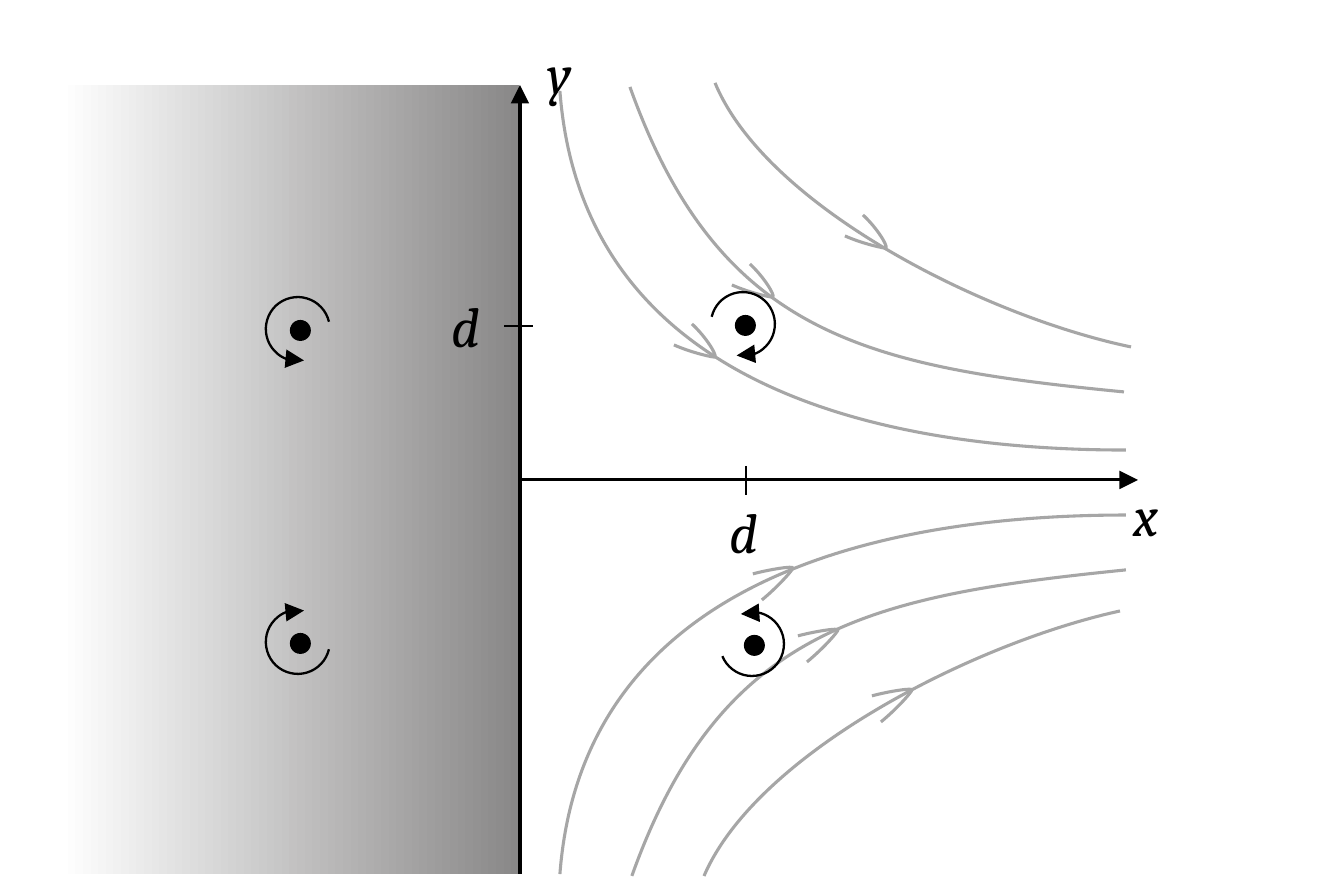
"""Build a slide of vortices near a wall, with axes and streamlines."""
from lxml import etree
from pptx import Presentation
from pptx import util as u
from pptx.dml import color
from pptx.enum import shapes, text
from pptx.oxml import ns

SLIDE = (1344, 896)
WALL = (60, 85, 459, 789)
AXES = [(520, 874, 520, 85), (520, 480, 1138, 480)]
TICKS = [(746, 466, 746, 495), (533, 326, 504, 326)]
LABELS = [("x", 1109, 470), ("d", 708, 486), ("y", 522, 27), ("d", 430, 280)]
LABEL_SIZE = (72, 90)
STREAMLINES = [
    [(1126, 450), (869, 450), (582, 381), (560, 91)],
    [(1124, 392), (867, 367), (719, 336), (630, 87)],
    [(1131, 347), (983, 316), (766, 206), (715, 83)],
    [(1126, 515), (869, 515), (582, 585), (560, 874)],
    [(1126, 570), (871, 596), (721, 627), (632, 876)],
    [(1120, 611), (974, 643), (757, 753), (704, 876)],
]
FLOW_HEADS = [
    ([(-23, -33), (-9, -20), (2, -2), (0, 0), (0, 1), (-23, -4), (-41, -12)],
     [(886, 248), (773, 297), (715, 357)]),
    ([(-40, 6), (-21, 1), (0, -2), (0, 0), (0, 2), (-15, 19), (-31, 32)],
     [(793, 568), (838, 630), (912, 690)]),
]
VORTICES = [
    (735, 315, 283.2, {}),
    (744, 635, 67.7, {"flipV": "1"}),
    (290, 320, 76.8, {"flipH": "1"}),
    (290, 633, 283.2, {"flipH": "1", "flipV": "1"}),
]
DOT, ARC, ARC_OFFSET = 21, 64, (24, 23)
ARC_ADJUSTMENTS = (162, 106.797)
THEME = {
    "ink": "000000", "flow": "A6A6A6", "wall": ("898888", "FFFFFF"),
    "font": {"name": "Cambria", "size": u.Pt(18), "italic": True},
    "axis": 1, "thin": 0.75,
}
SCALE = 914400 / 224


def emu(*lengths):
    return [u.Emu(round(n * SCALE)) for n in lengths]


def rgb(name):
    return color.RGBColor.from_string(name)


def set_line(sp, ink, width, arrow=False):
    sp.line.color.rgb = rgb(ink)
    sp.line.width = u.Pt(width)
    if arrow:
        ln = sp._element.xpath(".//a:ln")[0]
        etree.SubElement(ln, ns.qn("a:tailEnd"), type="triangle")


def add_preset(s, kind, box):
    sp = s.shapes.add_shape(kind, *emu(*box))
    sp.shadow.inherit = False
    return sp


def add_straight(s, ends, width, arrow=False):
    sp = s.shapes.add_connector(shapes.MSO_CONNECTOR.STRAIGHT, *emu(*ends))
    set_line(sp, THEME["ink"], width, arrow)
    etree.SubElement(sp._element.spPr, ns.qn("a:effectLst"))


def add_curve(s, points):
    """Draw cubic Bézier segments through a start and groups of three points."""
    builder = s.shapes.build_freeform(*points[0], scale=SCALE)
    builder.add_line_segments(points[1:], close=False)
    sp = builder.convert_to_shape()
    sp.shadow.inherit = False
    sp.fill.background()
    set_line(sp, THEME["flow"], THEME["axis"])
    outline = sp._element.xpath(".//a:path")[0]
    steps = outline.findall(ns.qn("a:lnTo"))
    for i, step in enumerate(steps):
        if i % 3 == 0:
            bezier = etree.SubElement(outline, ns.qn("a:cubicBezTo"))
        bezier.append(step[0])
        outline.remove(step)


def add_wall(s):
    sp = add_preset(s, shapes.MSO_SHAPE.RECTANGLE, WALL)
    sp.line.fill.background()
    sp.fill.gradient()
    sp.fill.gradient_angle = 180
    for stop, shade in zip(sp.fill.gradient_stops, THEME["wall"]):
        stop.color.rgb = rgb(shade)


def add_label(s, name, x, y):
    tf = s.shapes.add_textbox(*emu(x, y, *LABEL_SIZE)).text_frame
    tf.word_wrap = False
    tf.auto_size = text.MSO_AUTO_SIZE.SHAPE_TO_FIT_TEXT
    p = tf.paragraphs[0]
    p.alignment = text.PP_ALIGN.RIGHT
    r = p.add_run()
    r.text = name
    for key, value in THEME["font"].items():
        setattr(r.font, key, value)
    r.font.color.rgb = rgb(THEME["ink"])


def add_vortex(s, x, y, rotation, flips):
    dot = add_preset(s, shapes.MSO_SHAPE.OVAL, (x, y, DOT, DOT))
    dot.fill.solid()
    dot.fill.fore_color.rgb = rgb(THEME["ink"])
    dot.line.fill.background()
    dx, dy = ARC_OFFSET
    arc = add_preset(s, shapes.MSO_SHAPE.ARC, (x - dx, y - dy, ARC, ARC))
    arc.fill.background()
    set_line(arc, THEME["ink"], THEME["thin"], arrow=True)
    for i, value in enumerate(ARC_ADJUSTMENTS):
        arc.adjustments[i] = value
    arc.rotation = rotation
    for key, value in flips.items():
        arc._element.spPr.xfrm.set(key, value)


def main():
    prs = Presentation()
    prs.slide_width, prs.slide_height = emu(*SLIDE)
    s = prs.slides.add_slide(prs.slide_layouts[6])
    add_wall(s)
    for ends in AXES:
        add_straight(s, ends, THEME["axis"], arrow=True)
    for ends in TICKS:
        add_straight(s, ends, THEME["thin"])
    for label in LABELS:
        add_label(s, *label)
    for points in STREAMLINES:
        add_curve(s, points)
    for offsets, tips in FLOW_HEADS:
        for x, y in tips:
            add_curve(s, [(x + dx, y + dy) for dx, dy in offsets])
    for vortex in VORTICES:
        add_vortex(s, *vortex)
    prs.save("out.pptx")


if __name__ == "__main__":
    main()
